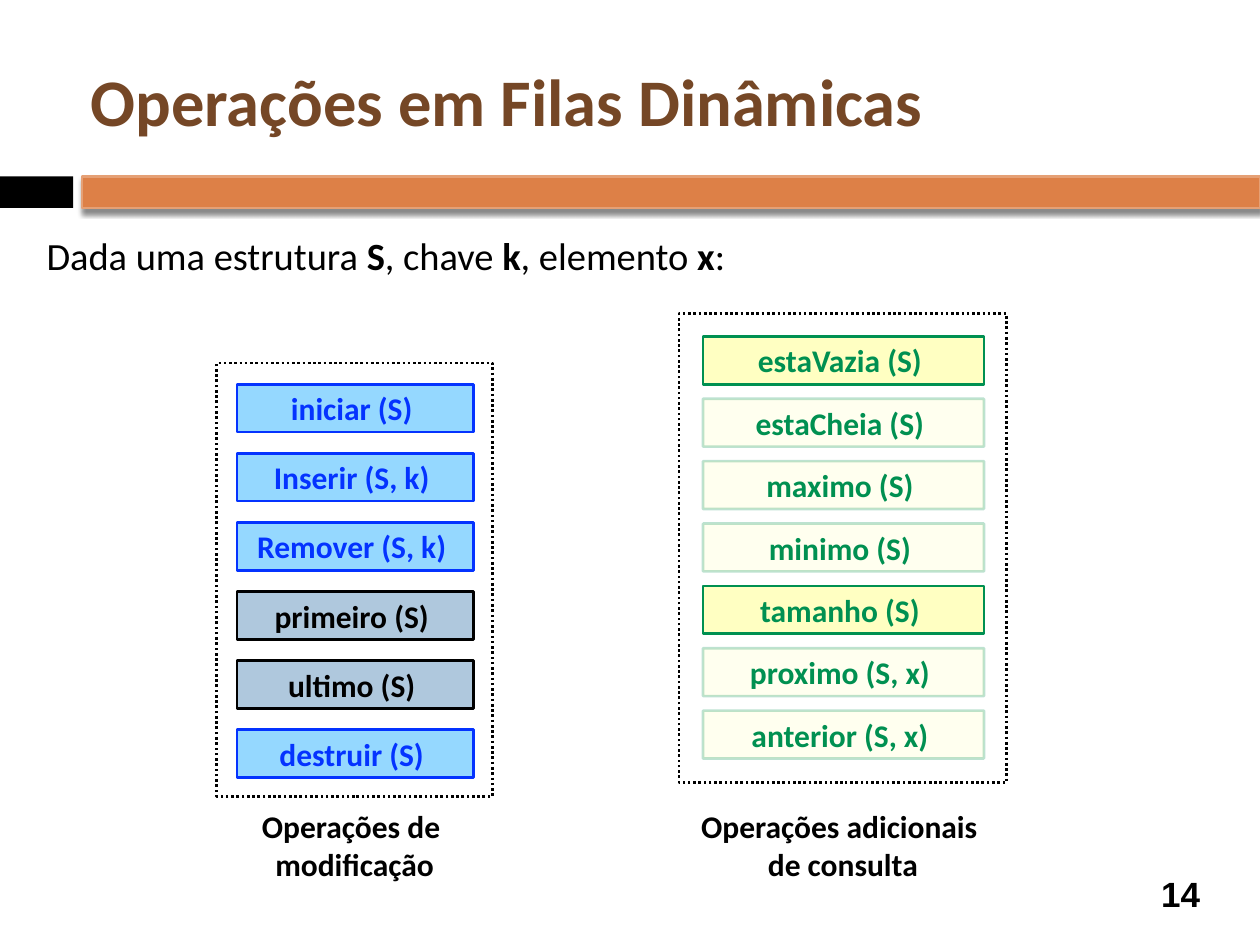
from lxml import etree
from pptx import Presentation
from pptx.dml.color import RGBColor
from pptx.enum import dml, shapes, text
from pptx.oxml.ns import qn
from pptx.util import Inches, Pt

BLACK = RGBColor(0x00, 0x00, 0x00)
ORANGE = RGBColor(0xDD, 0x80, 0x47)
LIGHT_ORANGE = RGBColor(0xE5, 0xA0, 0x75)
BROWN = RGBColor(0x75, 0x47, 0x26)
BLUE = RGBColor(0x04, 0x33, 0xFF)
SKY = RGBColor(0x95, 0xD8, 0xFF)
STEEL = RGBColor(0xAF, 0xC8, 0xDD)
GREEN = RGBColor(0x00, 0x90, 0x51)
CREAM = RGBColor(0xFF, 0xFF, 0xC2)

# Box styles: fill, line and text colour, opacity in percent
MODIFY = (SKY, BLUE, 100)
ACCESS = (STEEL, BLACK, 100)
QUERY = (CREAM, GREEN, 100)
FADED_QUERY = (CREAM, GREEN, 26)

MODIFY_OPS = [
    ("iniciar (S) ", MODIFY),
    ("Inserir (S, k) ", MODIFY),
    ("Remover (S, k) ", MODIFY),
    ("primeiro (S) ", ACCESS),
    ("ultimo (S) ", ACCESS),
    ("destruir (S) ", MODIFY),
]
QUERY_OPS = [
    ("estaVazia (S) ", QUERY),
    ("estaCheia (S) ", FADED_QUERY),
    ("maximo (S) ", FADED_QUERY),
    ("minimo (S) ", FADED_QUERY),
    ("tamanho (S) ", QUERY),
    ("proximo (S, x) ", FADED_QUERY),
    ("anterior (S, x) ", FADED_QUERY),
]


def set_opacity(color_format_parent, percent):
    """Add an alpha value to the solid fill found in an XML element."""
    color = color_format_parent.find(qn("a:solidFill"))[0]
    etree.SubElement(color, qn("a:alpha"), val=str(percent * 1000))


def set_frame(tf, anchor, wrap=True):
    tf.margin_left = tf.margin_right = Inches(0.05)
    tf.margin_top = tf.margin_bottom = Inches(0.05)
    tf.vertical_anchor = anchor
    tf.word_wrap = wrap


def format_run(r, size, color=BLACK, bold=True, font="Calibri"):
    r.font.size = Pt(size)
    r.font.name = font
    r.font.bold = bold
    r.font.color.rgb = color


def add_rect(slide, left, top, width, height, fill=None, line=None, dotted=False):
    sp = slide.shapes.add_shape(shapes.MSO_SHAPE.RECTANGLE, Inches(left),
                                Inches(top), Inches(width), Inches(height))
    sp.shadow.inherit = False
    if fill is None:
        sp.fill.background()
    else:
        sp.fill.solid()
        sp.fill.fore_color.rgb = fill
    if line is None:
        sp.line.fill.background()
    else:
        sp.line.color.rgb = line
        sp.line.width = Pt(1.5)
    if dotted:
        sp.line.dash_style = dml.MSO_LINE.ROUND_DOT
    return sp


def add_drop_shadow(sp):
    effects = sp._element.spPr.find(qn("a:effectLst"))
    shadow = etree.SubElement(effects, qn("a:outerShdw"), blurRad=str(Pt(3)),
                              dist=str(Pt(2.4)), dir="5400000", rotWithShape="0")
    color = etree.SubElement(shadow, qn("a:srgbClr"), val=str(BLACK))
    etree.SubElement(color, qn("a:alpha"), val="45000")


def add_text(slide, left, top, width, height, lines, size, color=BLACK,
             align=text.PP_ALIGN.LEFT, anchor=text.MSO_ANCHOR.TOP,
             wrap=True, font="Calibri"):
    box = slide.shapes.add_textbox(Inches(left), Inches(top),
                                   Inches(width), Inches(height))
    tf = box.text_frame
    set_frame(tf, anchor, wrap)
    tf.text = lines
    for p in tf.paragraphs:
        p.alignment = align
        for r in p.runs:
            format_run(r, size, color, font=font)
    return box


def add_intro(slide):
    box = slide.shapes.add_textbox(Inches(0.32), Inches(1.79),
                                   Inches(9), Inches(0.63))
    set_frame(box.text_frame, text.MSO_ANCHOR.TOP)
    p = box.text_frame.paragraphs[0]
    parts = ["Dada uma estrutura ", "S", ", chave ", "k", ", elemento ", "x", ":"]
    for i, part in enumerate(parts):
        r = p.add_run()
        r.text = part
        format_run(r, 22, bold=i % 2 == 1)


def add_operation(slide, left, top, width, label, style):
    fill, color, opacity = style
    sp = add_rect(slide, left, top, width, 0.38, fill, color)
    if opacity < 100:
        spPr = sp._element.spPr
        set_opacity(spPr, opacity)
        set_opacity(spPr.find(qn("a:ln")), opacity)
    tf = sp.text_frame
    set_frame(tf, text.MSO_ANCHOR.MIDDLE)
    tf.text = label
    p = tf.paragraphs[0]
    p.alignment = text.PP_ALIGN.CENTER
    format_run(p.runs[0], 18, color)


def add_group(slide, frame, left, top, width, last_top, operations):
    """Draw a dotted frame holding evenly spaced operation boxes."""
    add_rect(slide, *frame, line=BLACK, dotted=True)
    step = (last_top - top) / (len(operations) - 1)
    for i, (label, style) in enumerate(operations):
        add_operation(slide, left, top + i * step, width, label, style)


def add_caption(slide, left, width, lines):
    add_text(slide, left, 6.36, width, 0.63, lines, 18,
             align=text.PP_ALIGN.CENTER, wrap=False)


def main():
    prs = Presentation()
    prs.slide_width, prs.slide_height = Inches(10), Inches(7.5)
    slide = prs.slides.add_slide(prs.slide_layouts[6])

    # Header band and title
    add_rect(slide, 0, 1.4, 0.58, 0.25, BLACK)
    add_drop_shadow(add_rect(slide, 0.65, 1.4, 9.35, 0.25, ORANGE, LIGHT_ORANGE))
    add_text(slide, 0.67, 0.25, 8.92, 1.08, "Operações em Filas Dinâmicas", 38,
             BROWN, anchor=text.MSO_ANCHOR.MIDDLE)
    add_intro(slide)

    # Modifying operations
    add_group(slide, (1.72, 2.88, 2.19, 3.44), 1.88, 3.05, 1.88, 5.79, MODIFY_OPS)
    add_caption(slide, 2.01, 1.61, "Operações de \nmodificação")

    # Query operations
    add_group(slide, (5.39, 2.49, 2.6, 3.72), 5.58, 2.67, 2.23, 5.64, QUERY_OPS)
    add_caption(slide, 5.48, 2.42, "Operações adicionais \nde consulta")

    # Slide number
    add_text(slide, 9.08, 6.89, 0.58, 0.41, "14", 20, font="Arial",
             align=text.PP_ALIGN.CENTER, anchor=text.MSO_ANCHOR.MIDDLE)

    prs.save("out.pptx")


if __name__ == "__main__":
    main()
